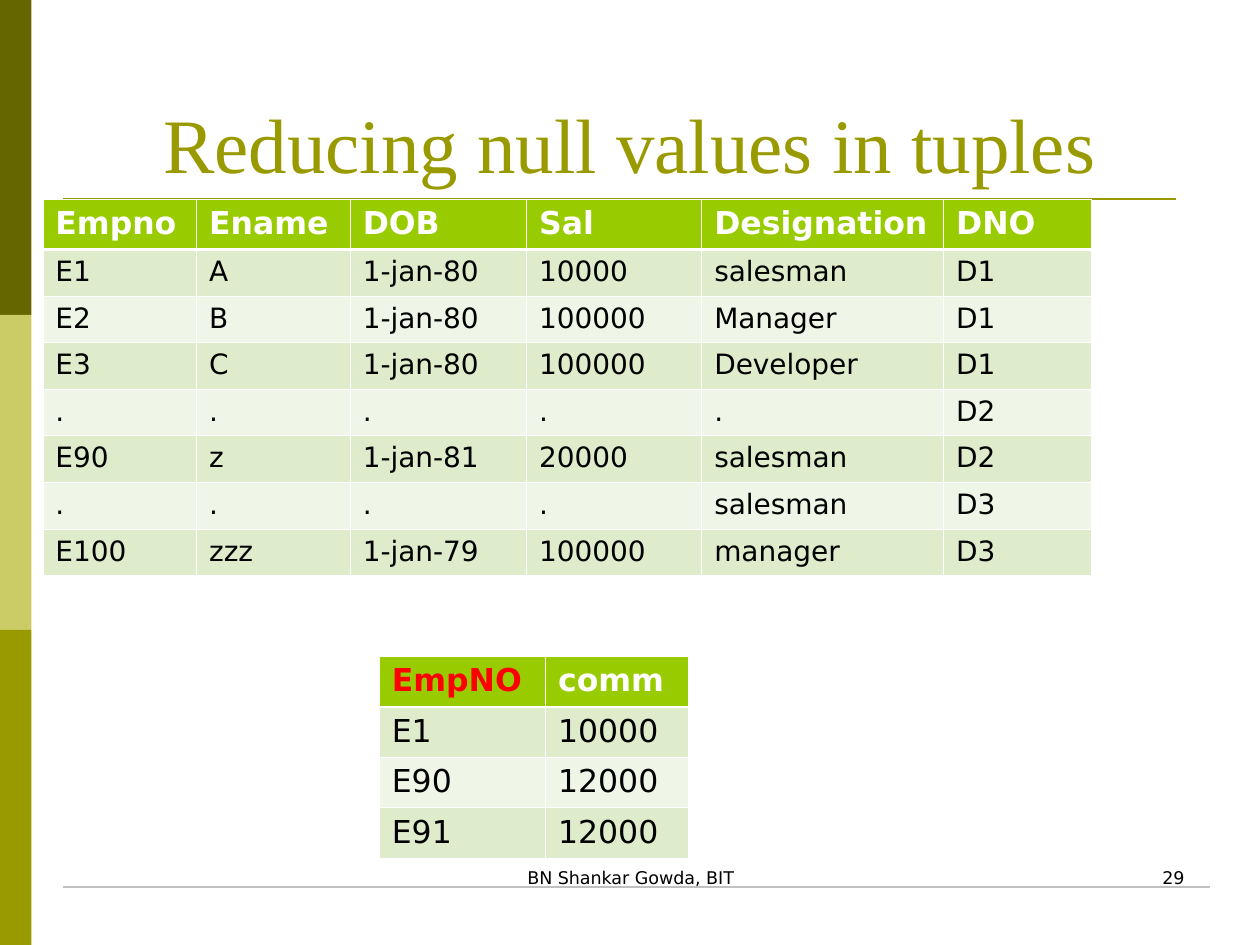
from lxml import etree
from pptx import Presentation
from pptx.dml.color import RGBColor
from pptx.enum.shapes import MSO_CONNECTOR, MSO_SHAPE
from pptx.enum.text import MSO_ANCHOR, PP_ALIGN
from pptx.oxml.ns import qn
from pptx.util import Inches, Pt

RECTANGLE = MSO_SHAPE.RECTANGLE
STRAIGHT = MSO_CONNECTOR.STRAIGHT
CENTER, RIGHT = PP_ALIGN.CENTER, PP_ALIGN.RIGHT
TOP, BOTTOM = MSO_ANCHOR.TOP, MSO_ANCHOR.BOTTOM

DARK_OLIVE = RGBColor(0x66, 0x66, 0x00)
LIGHT_OLIVE = RGBColor(0xCC, 0xCC, 0x66)
OLIVE = RGBColor(0x99, 0x99, 0x00)
GRAY = RGBColor(0xC0, 0xC0, 0xC0)
GREEN = RGBColor(0x99, 0xCC, 0x00)
BAND = RGBColor(0xDE, 0xEC, 0xCB)
PALE_BAND = RGBColor(0xEF, 0xF6, 0xE7)
WHITE = RGBColor(0xFF, 0xFF, 0xFF)
BLACK = RGBColor(0x00, 0x00, 0x00)
RED = RGBColor(0xFF, 0x00, 0x00)

SERIF = "Times New Roman"
SANS = "DejaVu Sans"

EMPLOYEES = [
    ["Empno", "Ename", "DOB", "Sal", "Designation", "DNO"],
    ["E1", "A", "1-jan-80", "10000", "salesman", "D1"],
    ["E2", "B", "1-jan-80", "100000", "Manager", "D1"],
    ["E3", "C", "1-jan-80", "100000", "Developer", "D1"],
    [".", ".", ".", ".", ".", "D2"],
    ["E90", "z", "1-jan-81", "20000", "salesman", "D2"],
    [".", ".", ".", ".", "salesman", "D3"],
    ["E100", "zzz", "1-jan-79", "100000", "manager", "D3"],
]
COMMISSIONS = [
    ["EmpNO", "comm"],
    ["E1", "10000"],
    ["E90", "12000"],
    ["E91", "12000"],
]


def style_font(paragraph, name, size, color, bold=False):
    font = paragraph.font
    font.name = name
    font.size = Pt(size)
    font.bold = bold
    font.color.rgb = color


def add_sidebar(slide, left, top, width, height):
    colors = [DARK_OLIVE, LIGHT_OLIVE, OLIVE]
    part_height = height / len(colors)
    for index, color in enumerate(colors):
        shape = slide.shapes.add_shape(
            RECTANGLE, Inches(left), Inches(top + index * part_height),
            Inches(width), Inches(part_height))
        shape.shadow.inherit = False
        shape.fill.solid()
        shape.fill.fore_color.rgb = color
        shape.line.fill.background()


def add_rule(slide, left, top, width, color, weight):
    connector = slide.shapes.add_connector(
        STRAIGHT, Inches(left), Inches(top), Inches(left + width), Inches(top))
    connector.line.color.rgb = color
    connector.line.width = Pt(weight)
    properties = connector._element.find(qn("p:spPr"))
    etree.SubElement(properties, qn("a:effectLst"))


def add_text(slide, box, text, name, size, color, alignment, anchor=TOP):
    shape = slide.shapes.add_textbox(*map(Inches, box))
    frame = shape.text_frame
    frame.word_wrap = True
    frame.vertical_anchor = anchor
    paragraph = frame.paragraphs[0]
    paragraph.text = text
    paragraph.alignment = alignment
    style_font(paragraph, name, size, color)


def set_borders(cell, weights):
    properties = cell._tc.get_or_add_tcPr()
    for index, (side, weight) in enumerate(weights.items()):
        line = etree.Element(qn(f"a:ln{side}"), w=str(Pt(weight)))
        fill = etree.SubElement(line, qn("a:solidFill"))
        etree.SubElement(fill, qn("a:srgbClr"), val=str(WHITE))
        properties.insert(index, line)


def add_data_table(slide, left, top, widths, heights, rows, body_size, key_color=WHITE):
    table = slide.shapes.add_table(
        len(rows), len(widths), Inches(left), Inches(top),
        Inches(sum(widths)), Inches(sum(heights))).table
    for column, width in zip(table.columns, widths):
        column.width = Inches(width)
    for row_index, values in enumerate(rows):
        table.rows[row_index].height = Inches(heights[row_index])
        header = row_index == 0
        fill = GREEN if header else BAND if row_index % 2 else PALE_BAND
        weights = {
            "L": 0.45,
            "R": 0.45,
            "T": 1.47 if row_index == 1 else 0.45,
            "B": 1.47 if header else 0.45,
        }
        for column_index, value in enumerate(values):
            cell = table.cell(row_index, column_index)
            cell.fill.solid()
            cell.fill.fore_color.rgb = fill
            set_borders(cell, weights)
            paragraph = cell.text_frame.paragraphs[0]
            paragraph.text = value
            if header:
                color = key_color if column_index == 0 else WHITE
                style_font(paragraph, SANS, 18, color, bold=True)
            else:
                style_font(paragraph, SANS, body_size, BLACK)


def main():
    presentation = Presentation()
    presentation.slide_width = Inches(10)
    presentation.slide_height = Inches(7.5)
    slide = presentation.slides.add_slide(presentation.slide_layouts[6])

    add_sidebar(slide, 0, 0, 0.25, 7.5)
    add_rule(slide, 0.5, 1.58, 8.83, OLIVE, 1.5)
    add_rule(slide, 0.5, 7.04, 9.1, GRAY, 0.75)
    add_text(slide, (0.5, 0.3, 9, 1.25), "Reducing null values in tuples",
             SERIF, 44, OLIVE, CENTER, BOTTOM)
    add_text(slide, (3.42, 6.83, 3.17, 0.5), "BN Shankar Gowda, BIT",
             SANS, 10, BLACK, CENTER)
    add_text(slide, (7.17, 6.83, 2.33, 0.5), "29", SANS, 10, BLACK, RIGHT)
    add_data_table(slide, 0.34, 1.58, [1.22, 1.22, 1.4, 1.39, 1.92, 1.17],
                   [0.4] + [0.37] * 7, EMPLOYEES, 16)
    add_data_table(slide, 3.01, 5.21, [1.32, 1.13], [0.4] * 4,
                   COMMISSIONS, 18, RED)
    presentation.save("out.pptx")


if __name__ == "__main__":
    main()
